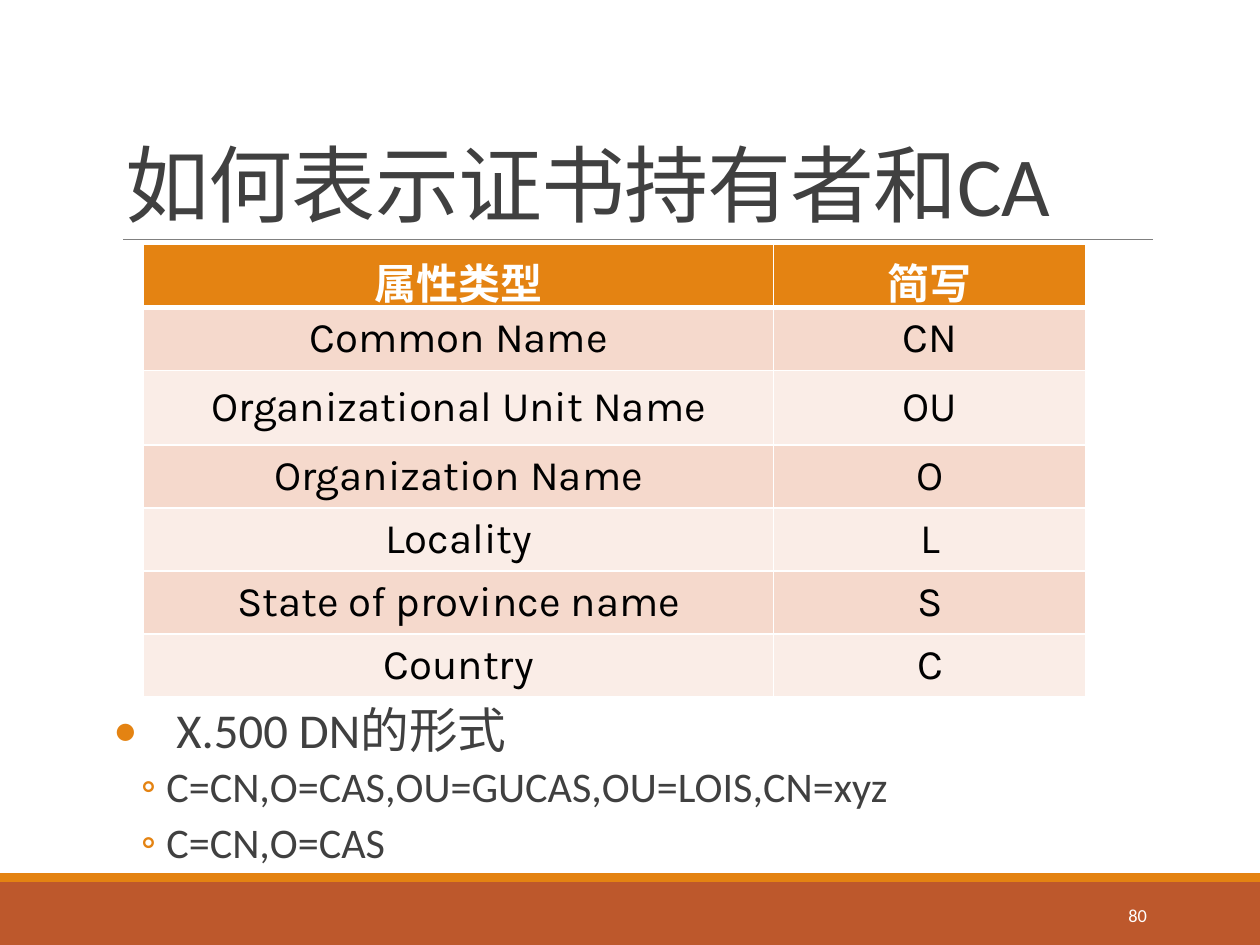
from lxml import etree
from pptx import Presentation, util as u
from pptx.dml.color import RGBColor
from pptx.enum import shapes, text
from pptx.oxml.ns import qn

# Content
TITLE = "如何表示证书持有者和CA"
ATTRIBUTES = [
    ("属性类型", "简写"),
    ("Common Name", "CN"),
    ("Organizational Unit Name", "OU"),
    ("Organization Name", "O"),
    ("Locality", "L"),
    ("State of province name", "S"),
    ("Country", "C"),
]
DN_FORMS = [  # text, level
    ("X.500 DN的形式", 0),
    ("C=CN,O=CAS,OU=GUCAS,OU=LOIS,CN=xyz", 1),
    ("C=CN,O=CAS", 1),
]
PAGE_NUMBER = "80"

# Style
COLORS = {"text": "404040", "accent": "E48312", "footer": "BD582C", "rule": "808080",
          "white": "FFFFFF", "black": "000000", "odd": "F5D9CC", "even": "FAEDE7"}
LEVELS = [
    {"size": 27.8, "bullet": "•", "left": 0.5, "hang": 0.5, "before": 0, "after": 2},
    {"size": 24.1, "bullet": "◦", "left": 0.42, "hang": 0.2, "before": 2, "after": 4},
]
WIDTH, HEIGHT = 10, 7.5
MARGIN, CONTENT_W = 0.9, 8.25
FOOTER_TOP, STRIPE_H = 7, 0.07
TABLE_LEFT, TABLE_TOP, COLUMNS = 1.14, 1.94, (5, 2.48)
ROW_H, TALL_ROW, TALL_H = 0.48, 2, 0.59


def rgb(name):
    return RGBColor.from_string(COLORS[name])


def add_run(paragraph, words, size, color, font="Calibri", bold=False):
    run = paragraph.add_run()
    run.text = words
    run.font.name, run.font.size, run.font.bold = font, u.Pt(size), bold
    run.font.color.rgb = rgb(color)
    return run


def add_box(slide, left, top, width, height, anchor):
    frame = slide.shapes.add_textbox(*map(u.Inches, (left, top, width, height))).text_frame
    frame.word_wrap = True
    frame.vertical_anchor = anchor
    return frame


def add_band(slide, top, height, color):
    band = slide.shapes.add_shape(shapes.MSO_SHAPE.RECTANGLE, 0, u.Inches(top),
                                  u.Inches(WIDTH), u.Inches(height))
    band.shadow.inherit = False
    band.fill.solid()
    band.fill.fore_color.rgb = rgb(color)
    band.line.fill.background()


def set_bullet(paragraph, level):
    props = paragraph._p.get_or_add_pPr()
    props.set("marL", str(u.Inches(level["left"])))
    props.set("indent", str(-u.Inches(level["hang"])))
    color = etree.SubElement(props, qn("a:buClr"))
    etree.SubElement(color, qn("a:srgbClr"), val=COLORS["accent"])
    etree.SubElement(props, qn("a:buFont"), typeface="Calibri")
    etree.SubElement(props, qn("a:buChar"), char=level["bullet"])


def set_borders(cell, bottom):
    props = cell._tc.get_or_add_tcPr()
    widths = {"lnL": 1, "lnR": 1, "lnT": 1, "lnB": bottom}
    for position, (side, width) in enumerate(widths.items()):
        line = etree.Element(qn("a:" + side), w=str(u.Pt(width)))
        fill = etree.SubElement(line, qn("a:solidFill"))
        etree.SubElement(fill, qn("a:srgbClr"), val=COLORS["white"])
        props.insert(position, line)


prs = Presentation()
prs.slide_width, prs.slide_height = u.Inches(WIDTH), u.Inches(HEIGHT)
slide = prs.slides.add_slide(prs.slide_layouts[6])

# Footer bands and title rule
add_band(slide, FOOTER_TOP, HEIGHT - FOOTER_TOP, "footer")
add_band(slide, FOOTER_TOP - STRIPE_H, STRIPE_H, "accent")
rule = slide.shapes.add_connector(shapes.MSO_CONNECTOR.STRAIGHT,
                                  *map(u.Inches, (0.98, 1.9, MARGIN + CONTENT_W, 1.9)))
rule.line.color.rgb = rgb("rule")
rule.line.width = u.Pt(0.5)
etree.SubElement(rule._element.spPr, qn("a:effectLst"))

# Title
heading = add_box(slide, MARGIN, 0.31, CONTENT_W, 1.59, text.MSO_ANCHOR.BOTTOM).paragraphs[0]
heading.line_spacing = 0.85
add_run(heading, TITLE, 48, "text").font._element.set("spc", "-50")

# Distinguished name forms
forms = add_box(slide, MARGIN, 5.56, CONTENT_W, 1.4, text.MSO_ANCHOR.TOP)
forms.margin_left = forms.margin_right = 0
for i, (words, depth) in enumerate(DN_FORMS):
    level = LEVELS[depth]
    form = forms.add_paragraph() if i else forms.paragraphs[0]
    form.level = depth
    form.line_spacing = 0.9
    form.space_before, form.space_after = u.Pt(level["before"]), u.Pt(level["after"])
    set_bullet(form, level)
    add_run(form, words, level["size"], "text")

# Page number
number = add_box(slide, 8.12, 7.06, 1.08, 0.4, text.MSO_ANCHOR.MIDDLE).paragraphs[0]
number.alignment = text.PP_ALIGN.RIGHT
add_run(number, PAGE_NUMBER, 10.5, "white")

# Attribute table
heights = [TALL_H if r == TALL_ROW else ROW_H for r in range(len(ATTRIBUTES))]
attributes = slide.shapes.add_table(
    len(ATTRIBUTES), len(COLUMNS),
    *map(u.Inches, (TABLE_LEFT, TABLE_TOP, sum(COLUMNS), sum(heights)))).table
for column, width in zip(attributes.columns, COLUMNS):
    column.width = u.Inches(width)
for r, (entry, height) in enumerate(zip(ATTRIBUTES, heights)):
    attributes.rows[r].height = u.Inches(height)
    header = r == 0
    for c, words in enumerate(entry):
        cell = attributes.cell(r, c)
        cell.fill.solid()
        cell.fill.fore_color.rgb = rgb("accent" if header else "odd" if r % 2 else "even")
        cell.vertical_anchor = text.MSO_ANCHOR.MIDDLE
        set_borders(cell, 3 if header else 1)
        label = cell.text_frame.paragraphs[0]
        label.alignment = text.PP_ALIGN.CENTER
        add_run(label, words, 24, "white" if header else "black", "Karla", header)

prs.save("out.pptx")
